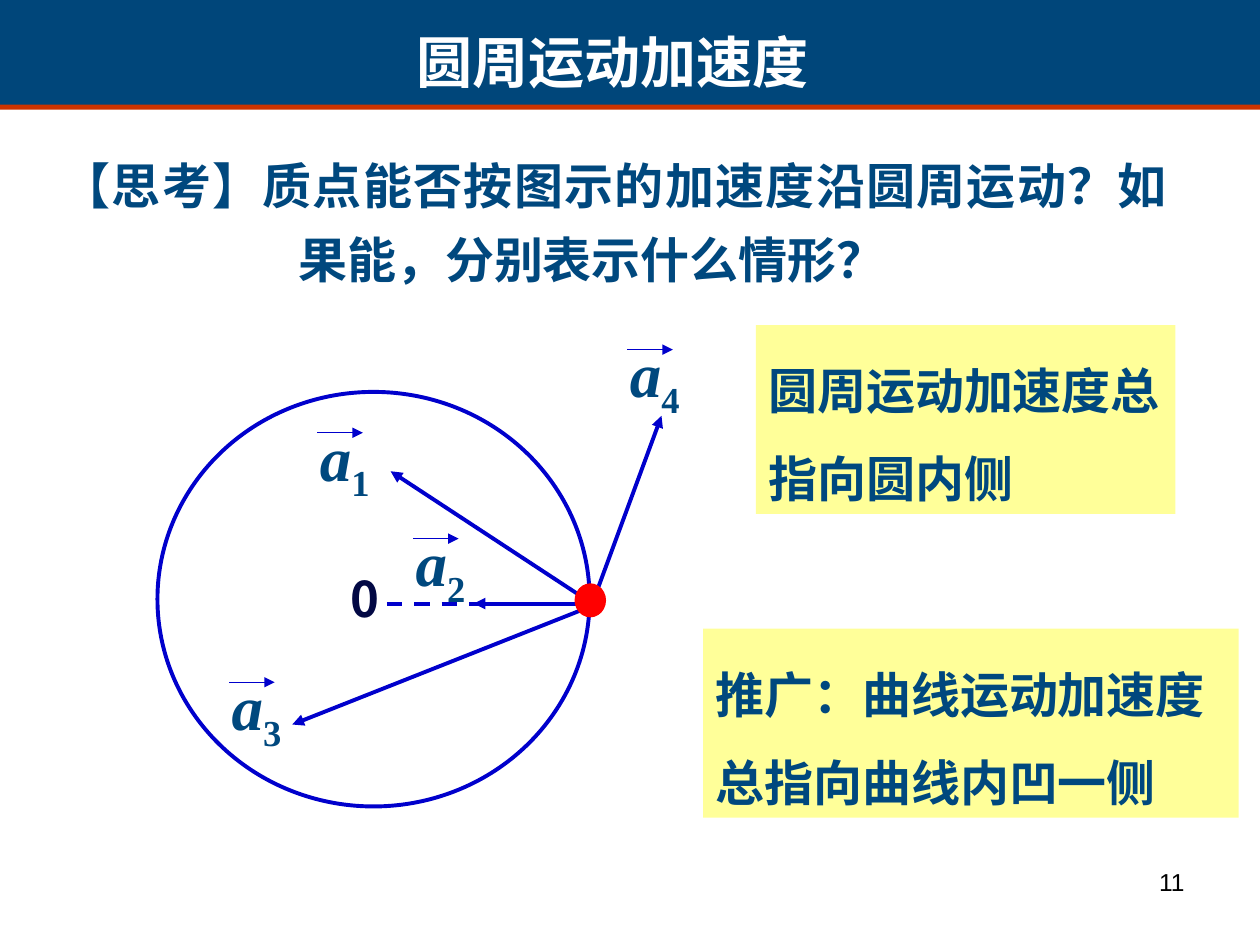
"""Build a slide about the acceleration of circular motion; lengths are percent of the slide."""
from lxml.etree import SubElement
from pptx import Presentation
from pptx.dml.color import RGBColor
from pptx.enum.dml import MSO_LINE
from pptx.enum.shapes import MSO_CONNECTOR, MSO_SHAPE
from pptx.enum.text import MSO_ANCHOR, PP_ALIGN
from pptx.oxml.ns import qn
from pptx.util import Inches, Pt

WIDTH, HEIGHT = 10, 7.5
NAVY, BLUE, RED_LINE = "00487E", "0000CC", "CC3300"
SERIF, SANS, CHINESE = "Times New Roman", "Arial", "Noto Sans CJK SC"

BODY = dict(size=28, name=SERIF, color=NAVY, bold=True)
TITLE = dict(BODY, size=32, color="FFFFFF")
NUMBER = dict(size=14, name=SANS, color="000000", bold=False)
CENTER = dict(BODY, name=CHINESE, color="020844")
SYMBOL = dict(BODY, size=36, italic=True)
SUBSCRIPT = dict(SYMBOL, italic=False, baseline=-25000)

BANNER = [((0, 10.53, 100, 1.07), RED_LINE), ((0, 0, 100, 11.07), "00467A")]
TEXTS = [
    ((71.7, 91.07, 23.3, 6.93), "11", NUMBER, dict(alignment=PP_ALIGN.RIGHT)),
    ((3.9, 14.27, 89.7, 16.93), "【思考】质点能否按图示的加速度沿圆周运动？如果能，分别表示什么情形？", BODY,
     dict(alignment=PP_ALIGN.JUSTIFY, line_spacing=1.25)),
    ((25.8, 2.27, 45.7, 8.53), "圆周运动加速度", TITLE, dict(alignment=PP_ALIGN.CENTER)),
]
HANGING = 1.88
CIRCLE = (12.5, 41.47, 34.3, 43.87)
RADIUS = ((30.7, 63.87), (46.8, 63.87))
VECTORS = [
    ((46.7, 63.87), (37.6, 63.87)),
    ((46.7, 63.6), (31, 49.87)),
    ((46.7, 64.27), (23.2, 76.67)),
    ((46.9, 64.27), (52.5, 44)),
]
LABELS = [("4", 49, 34.8), ("2", 32, 54.8), ("3", 17.4, 70), ("1", 24.4, 43.6)]
LABEL_SIZE = (11.9, 10.53)
BAR_X, BAR_Y, BAR_LENGTH = 0.8, 2.2, 3.6
DOT = (45.6, 61.73, 2.5, 3.6)
ORIGIN = (26.8, 59.47, 6.1, 7.6)
NOTES = [
    ((60, 34.4, 33.3, 20), "圆周运动加速度总指向圆内侧"),
    ((55.8, 66.53, 42.5, 20), "推广：曲线运动加速度总指向曲线内凹一侧"),
]


def rgb(value):
    return RGBColor.from_string(value)


def place(*shares):
    return [Inches(share / 100 * side) for share, side in zip(shares, (WIDTH, HEIGHT) * 2)]


def add_shape(slide, kind, box, fill=None, line=None):
    shape = slide.shapes.add_shape(kind, *place(*box))
    shape.shadow.inherit = False
    if fill:
        shape.fill.solid()
        shape.fill.fore_color.rgb = rgb(fill)
    else:
        shape.fill.background()
    if line:
        shape.line.color.rgb = rgb(line)
        shape.line.width = Pt(2.25)
    else:
        shape.line.fill.background()
    return shape


def add_line(slide, start, end, width=2.25, dashed=False):
    line = slide.shapes.add_connector(MSO_CONNECTOR.STRAIGHT, *place(*start, *end))
    line.line.color.rgb = rgb(BLUE)
    line.line.width = Pt(width)
    if dashed:
        line.line.dash_style = MSO_LINE.DASH
    else:
        SubElement(line.line._get_or_add_ln(), qn("a:tailEnd"), type="triangle")
    SubElement(line._element.spPr, qn("a:effectLst"))


def write(shape, runs, layout):
    frame = shape.text_frame
    frame.word_wrap = True
    frame.vertical_anchor = MSO_ANCHOR.TOP
    paragraph = frame.paragraphs[0]
    for key, value in {"alignment": PP_ALIGN.LEFT, **layout}.items():
        setattr(paragraph, key, value)
    for text, style in runs:
        run = paragraph.add_run()
        run.text = text
        font = run.font
        for key, value in style.items():
            if key == "color":
                font.color.rgb = rgb(value)
            elif key == "baseline":
                font._element.set("baseline", str(value))
            else:
                setattr(font, key, Pt(value) if key == "size" else value)
        SubElement(font._element, qn("a:ea"), typeface=CHINESE)
    return paragraph


def add_text(slide, box, runs, layout):
    return write(slide.shapes.add_textbox(*place(*box)), runs, layout)


def add_label(slide, index, left, top):
    add_text(slide, (left, top, *LABEL_SIZE), [("a", SYMBOL), (index, SUBSCRIPT)], {})
    start, level = left + BAR_X, top + BAR_Y
    add_line(slide, (start, level), (start + BAR_LENGTH, level), width=0.75)


def main():
    presentation = Presentation()
    presentation.slide_width, presentation.slide_height = Inches(WIDTH), Inches(HEIGHT)
    slide = presentation.slides.add_slide(presentation.slide_layouts[6])
    for box, fill in BANNER:
        add_shape(slide, MSO_SHAPE.RECTANGLE, box, fill)
    for box, text, style, layout in TEXTS:
        paragraph = add_text(slide, box, [(text, style)], layout)
        if layout["alignment"] == PP_ALIGN.JUSTIFY:
            properties = paragraph._p.get_or_add_pPr()
            properties.set("marL", str(Inches(HANGING)))
            properties.set("indent", str(-Inches(HANGING)))
    add_shape(slide, MSO_SHAPE.OVAL, CIRCLE, line=BLUE)
    add_line(slide, *RADIUS, dashed=True)
    for start, end in VECTORS:
        add_line(slide, start, end)
    for label in LABELS:
        add_label(slide, *label)
    add_shape(slide, MSO_SHAPE.OVAL, DOT, "FF0000")
    add_text(slide, ORIGIN, [("0", CENTER)], {})
    for box, text in NOTES:
        note = add_shape(slide, MSO_SHAPE.RECTANGLE, box, "FFFF99")
        write(note, [(text, BODY)], dict(line_spacing=1.5))
    presentation.save("out.pptx")


if __name__ == "__main__":
    main()
